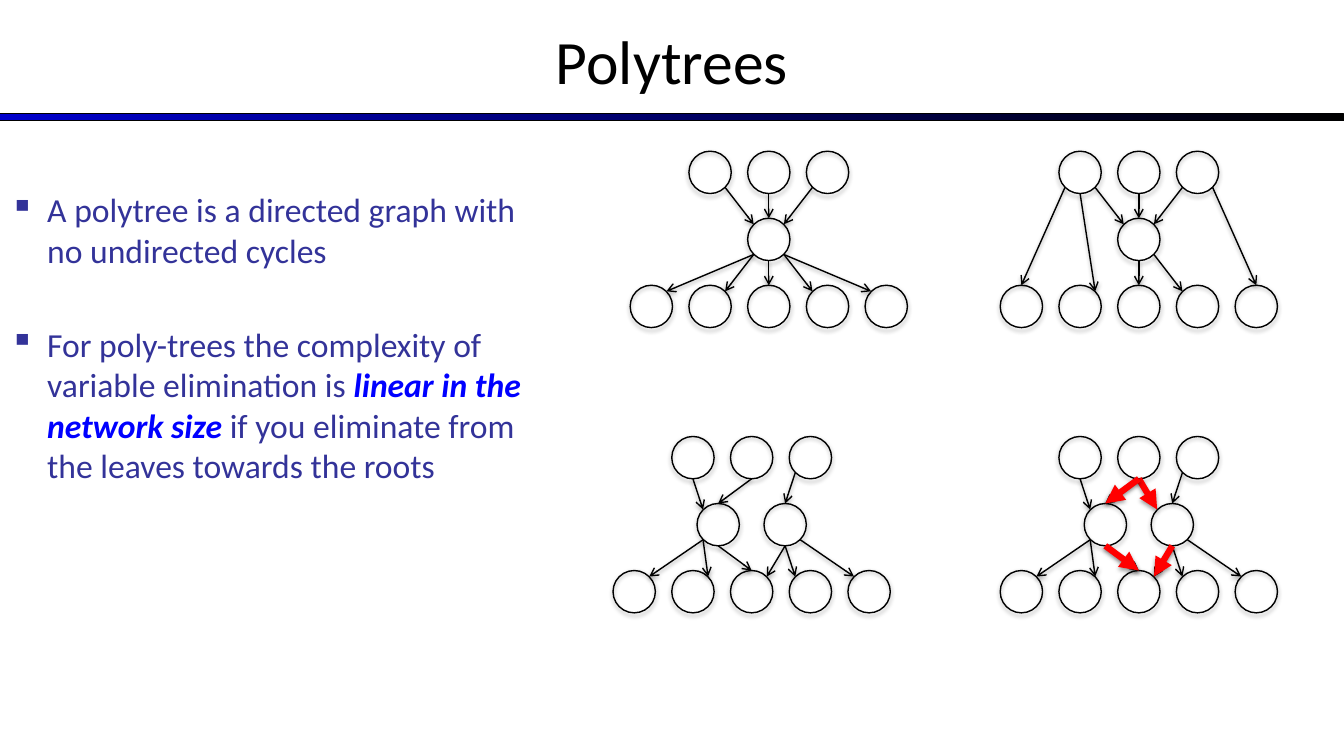
from dataclasses import dataclass
from lxml import etree
from pptx import Presentation
from pptx import util as u
from pptx.dml.color import RGBColor
from pptx.enum import shapes, text
from pptx.oxml import parse_xml
from pptx.oxml.ns import nsdecls, qn


@dataclass(frozen=True)
class Theme:
    font: str = "Calibri"
    ink: str = "000000"
    bar: str = "0000CC"
    body: str = "333399"
    emphasis: str = "0000FF"
    cycle: str = "FF0000"
    title_size: float = 44
    body_size: float = 24


THEME = Theme()
NODE = 0.42  # node diameter, inches
DIAGONAL = 0.15  # offset of a diagonal site from the node centre
SITES = {
    "n": (0, -NODE / 2), "s": (0, NODE / 2),
    "ne": (DIAGONAL, -DIAGONAL), "nw": (-DIAGONAL, -DIAGONAL),
    "se": (DIAGONAL, DIAGONAL), "sw": (-DIAGONAL, DIAGONAL),
}
EDGE = {"color": THEME.ink, "width": 1, "head": "arrow"}
CYCLE_EDGE = {"color": THEME.cycle, "width": 4.5, "head": "triangle"}

# Columns of the middle nodes, and edges written as node.site pairs
ONE_HUB, TWO_HUBS = (2,), (1.43, 2.57)
INTO_HUB = "t0.se-m0.nw t1.s-m0.n t2.sw-m0.ne "
SINGLE_HUB = INTO_HUB + "m0.sw-b0.ne m0.sw-b1.ne m0.s-b2.n m0.se-b3.nw m0.se-b4.nw"
BYPASS = INTO_HUB + "t0.sw-b0.n t0.s-b1.ne m0.s-b2.n m0.se-b3.nw t2.se-b4.n"
DOUBLE_HUB = ("t0.s-m0.nw t1.s-m0.n t2.sw-m1.n m0.sw-b0.ne m0.sw-b1.ne "
              "m0.s-b2.n m1.s-b3.nw m1.se-b4.nw m1.s-b2.ne")
CYCLE = "t1.s-m1.nw m1.s-b2.ne m0.s-b2.n t1.s-m0.n"


def rgb(value):
    return RGBColor.from_string(value)


def apply(target, settings):
    for name, value in settings.items():
        setattr(target, name, value)


def add_shadow(part, opacity, distance):
    part._element.spPr.append(parse_xml(
        f'<a:effectLst {nsdecls("a")}><a:outerShdw blurRad="{u.Pt(3.1)}" '
        f'dist="{u.Pt(distance)}" dir="5400000" rotWithShape="0">'
        f'<a:srgbClr val="{THEME.ink}"><a:alpha val="{opacity * 1000}"/>'
        '</a:srgbClr></a:outerShdw></a:effectLst>'))


def add_run(paragraph, words, size, color, **style):
    run = paragraph.add_run()
    run.text = words
    apply(run.font, {"name": THEME.font, "size": u.Pt(size), **style})
    run.font.color.rgb = rgb(color)


def text_frame(slide, box, anchor):
    frame = slide.shapes.add_textbox(*map(u.Inches, box)).text_frame
    apply(frame, {
        "word_wrap": True, "vertical_anchor": anchor,
        "margin_left": u.Inches(0.1), "margin_right": u.Inches(0.1),
        "margin_top": u.Inches(0.05), "margin_bottom": u.Inches(0.05)})
    return frame


def draw_bar(slide, box):
    bar = slide.shapes.add_shape(shapes.MSO_SHAPE.RECTANGLE, *map(u.Inches, box))
    bar.shadow.inherit = False
    bar.fill.gradient()
    bar.fill.gradient_angle = 0
    for stop, color in zip(bar.fill.gradient_stops, (THEME.bar, THEME.ink)):
        stop.color.rgb = rgb(color)
    bar.line.color.rgb = rgb(THEME.ink)
    bar.line.width = u.Pt(0.75)


def draw_title(slide, box):
    heading = text_frame(slide, box, text.MSO_ANCHOR.MIDDLE).paragraphs[0]
    heading.alignment = text.PP_ALIGN.CENTER
    add_run(heading, "Polytrees", THEME.title_size, THEME.ink)


def draw_body(slide, box):
    plain = {"color": THEME.body}
    strong = {"color": THEME.emphasis, "bold": True, "italic": True}
    points = [
        (4.8, [("A polytree is a directed graph with no undirected cycles", plain)]),
        (38.4, [("For poly-trees the complexity of variable elimination is ", plain),
                ("linear in the network size ", strong),
                ("if you eliminate from the leaves towards the roots", plain)]),
    ]
    frame = text_frame(slide, box, text.MSO_ANCHOR.TOP)
    for index, (gap, runs) in enumerate(points):
        point = frame.add_paragraph() if index else frame.paragraphs[0]
        point.space_before = u.Pt(gap)
        for words, style in runs:
            add_run(point, words, THEME.body_size, **style)
        # Square bullet with a hanging indent
        props = point._p.get_or_add_pPr()
        props.set("marL", str(u.Inches(0.37)))
        props.set("indent", str(-u.Inches(0.37)))
        color = etree.SubElement(props, qn("a:buClr"))
        etree.SubElement(color, qn("a:srgbClr"), val=THEME.body)
        etree.SubElement(props, qn("a:buChar"), char="▪")


def draw_node(slide, x, y):
    node = slide.shapes.add_shape(
        shapes.MSO_SHAPE.OVAL, *map(u.Inches, (x - NODE / 2, y - NODE / 2, NODE, NODE)))
    node.fill.background()
    node.line.color.rgb = rgb(THEME.ink)
    node.line.width = u.Pt(1)
    add_shadow(node, 35, 1.8)


def draw_edges(slide, centres, edges, look):
    for edge in edges.split():
        ends = []
        for end in edge.split("-"):
            name, site = end.split(".")
            ends += [u.Inches(c + d) for c, d in zip(centres[name], SITES[site])]
        arrow = slide.shapes.add_connector(shapes.MSO_CONNECTOR.STRAIGHT, *ends)
        arrow.line.color.rgb = rgb(look["color"])
        arrow.line.width = u.Pt(look["width"])
        etree.SubElement(arrow.line._get_or_add_ln(), qn("a:tailEnd"), type=look["head"])
        add_shadow(arrow, 38, 1.6)


def draw_graph(slide, box, hubs, edges, cycle=""):
    left, top, width, height = box
    column, row = (width - NODE) / 4, (height - NODE) / 2
    layers = {"t": (1, 2, 3), "m": hubs, "b": range(5)}
    centres = {
        f"{layer}{i}": (left + NODE / 2 + c * column, top + NODE / 2 + r * row)
        for r, (layer, columns) in enumerate(layers.items())
        for i, c in enumerate(columns)}
    for centre in centres.values():
        draw_node(slide, *centre)
    draw_edges(slide, centres, edges, EDGE)
    draw_edges(slide, centres, cycle, CYCLE_EDGE)


def draw_polytrees(slide):
    # Heading and explanation
    draw_bar(slide, (0, 1.13, 13.33, 0.07))
    draw_title(slide, (0, -0.03, 13.33, 1.25))
    draw_body(slide, (0, 1.83, 5.58, 4.87))
    # Four example graphs, the last with its undirected cycle marked
    size = (2.75, 1.75)
    draw_graph(slide, (6.25, 1.5, *size), ONE_HUB, SINGLE_HUB)
    draw_graph(slide, (9.92, 1.5, *size), ONE_HUB, BYPASS)
    draw_graph(slide, (6.08, 4.33, *size), TWO_HUBS, DOUBLE_HUB)
    draw_graph(slide, (9.92, 4.33, *size), TWO_HUBS, DOUBLE_HUB, CYCLE)


deck = Presentation()
deck.slide_width, deck.slide_height = u.Inches(13.33), u.Inches(7.5)
draw_polytrees(deck.slides.add_slide(deck.slide_layouts[6]))
deck.save("out.pptx")
